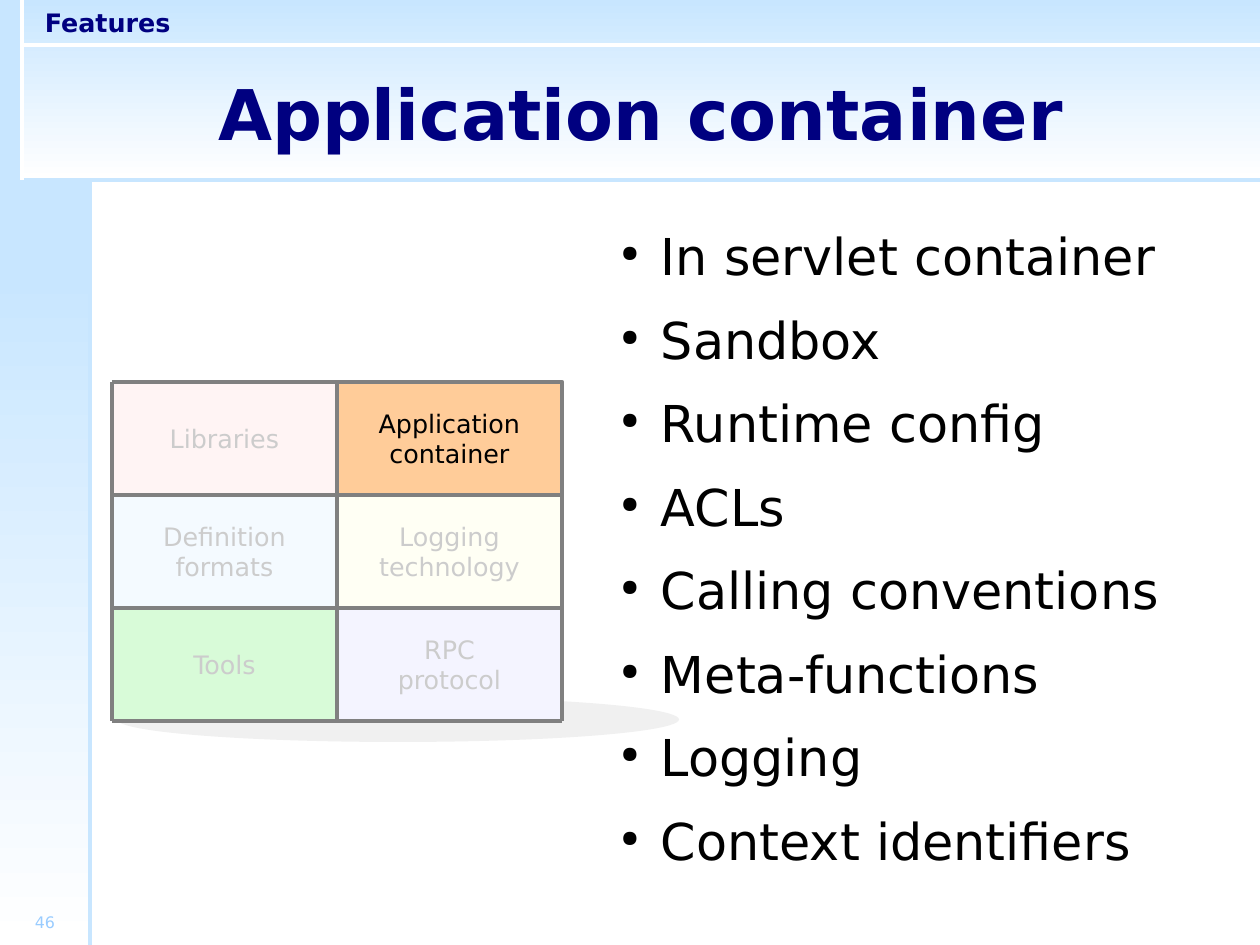
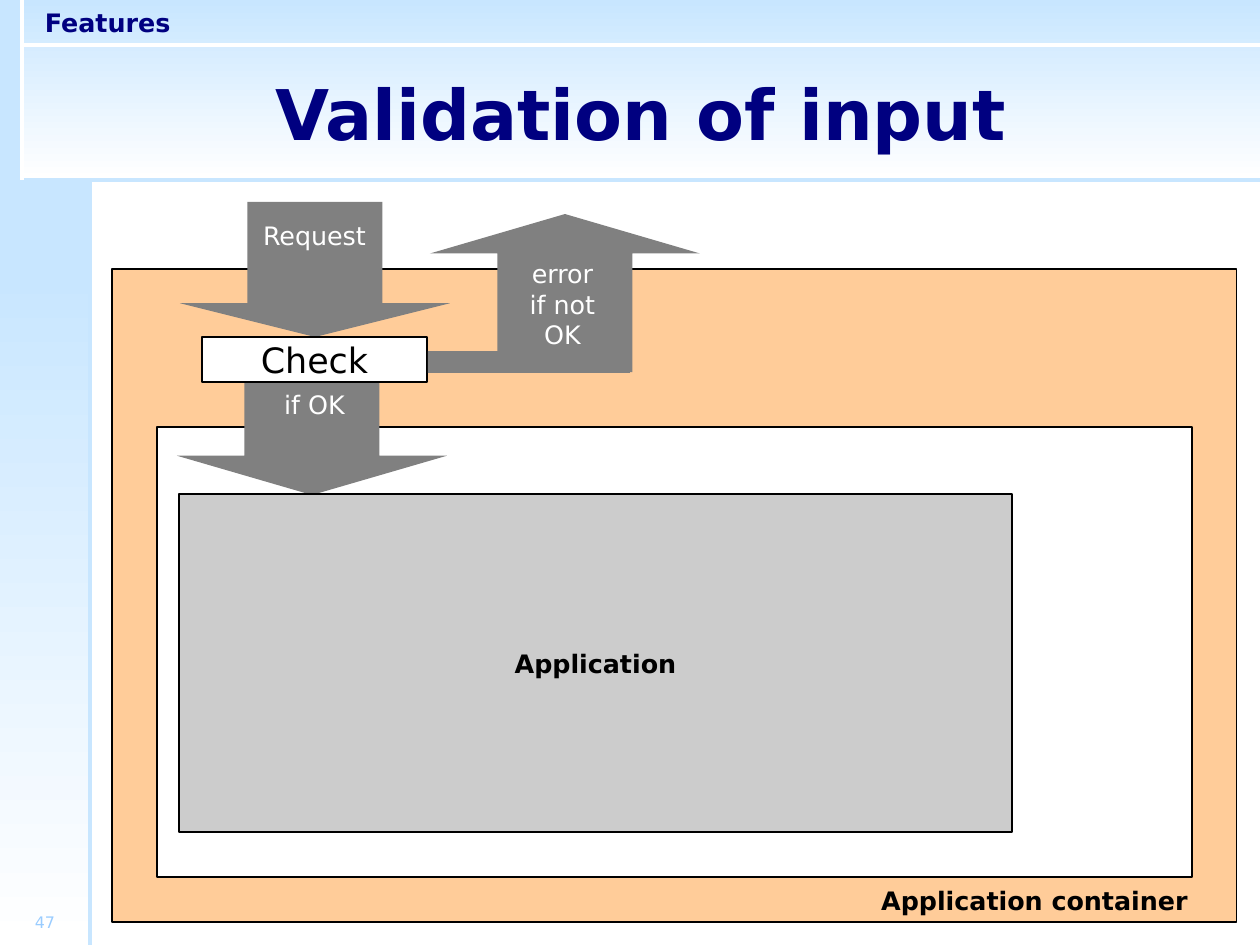
from lxml.etree import SubElement
from pptx import Presentation
from pptx.dml.color import RGBColor
from pptx.enum.shapes import MSO_CONNECTOR as Connector, MSO_SHAPE as Shape
from pptx.enum.text import MSO_ANCHOR as Anchor, PP_ALIGN as Align
from pptx.oxml.ns import qn
from pptx.util import Pt

PX = 8000
WIDTH, HEIGHT = 1260, 945
FONT = "DejaVu Sans"
BLACK, WHITE, NAVY, SKY = "000000", "FFFFFF", "000080", "C8E6FF"
ORANGE, GRAY, PALE_BLUE = "FFCC99", "808080", "99CCFF"

CELL_WIDTH, CELL_HEIGHT = 225, 113
GRID_LEFT, GRID_TOP = 112, 382
FEATURES = [
    [("Libraries", "FFC8C8"), ("Application\vcontainer", ORANGE)],
    [("Definition\vformats", SKY), ("Logging\vtechnology", "FFFFCC")],
    [("Tools", "3DEB3D"), ("RPC\vprotocol", "CCCCFF")],
]
CONTAINER_POINTS = [
    "In servlet container", "Sandbox", "Runtime config", "ACLs",
    "Calling conventions", "Meta-functions", "Logging", "Context identifiers",
]


def color(hex_string):
    return RGBColor.from_string(hex_string)


def emu(*lengths):
    return [length * PX for length in lengths]


def write(box, text, size=16, ink=BLACK, bold=False, align=Align.CENTER,
          anchor=Anchor.MIDDLE, inset=None):
    """Fill a shape with text: \\n starts a paragraph, \\v breaks a line."""
    frame = box.text_frame
    frame.word_wrap = True
    frame.vertical_anchor = anchor
    if inset is not None:
        frame.margin_left = frame.margin_right = inset * PX
        frame.margin_top = frame.margin_bottom = inset * PX
    frame.text = text
    for para in frame.paragraphs:
        para.alignment = align
        font = para.font
        font.name, font.size, font.bold = FONT, Pt(size), bold
        font.color.rgb = color(ink)
    return frame


def add_label(slide, area, text, **style):
    return write(slide.shapes.add_textbox(*emu(*area)), text, **style)


def add_box(slide, area, fill=None, line=None, line_width=0, kind=Shape.RECTANGLE):
    box = slide.shapes.add_shape(kind, *emu(*area))
    box.shadow.inherit = False
    if fill:
        box.fill.solid()
        box.fill.fore_color.rgb = color(fill)
    if line:
        box.line.color.rgb = color(line)
        box.line.width = Pt(line_width)
    else:
        box.line.fill.background()
    return box


def add_fading_band(slide, area):
    fill = add_box(slide, area).fill
    fill.gradient()
    fill.gradient_angle = 270
    for stop, position, shade in zip(fill.gradient_stops, (0, 1), (SKY, WHITE)):
        stop.position = position
        stop.color.rgb = color(shade)


def add_veil(slide, area):
    """Dim what lies below with white at 80 % opacity."""
    veil = add_box(slide, area, WHITE)
    tint = veil.fill._xPr.find(qn("a:solidFill"))[0]
    SubElement(tint, qn("a:alpha"), val="80000")


def add_line(slide, ends, ink):
    line = slide.shapes.add_connector(Connector.STRAIGHT, *emu(*ends))
    line.line.color.rgb = color(ink)
    line.line.width = Pt(0)
    SubElement(line._element.spPr, qn("a:effectLst"))


def add_arrow(slide, area, kind=Shape.DOWN_ARROW):
    arrow = add_box(slide, area, GRAY, kind=kind)
    arrow.adjustments[0], arrow.adjustments[1] = 0.5, 0.25


def add_bullets(slide, area, items):
    frame = add_label(slide, area, "\n".join(items), size=32, align=Align.LEFT,
                      anchor=Anchor.TOP, inset=0)
    for para in frame.paragraphs:
        para.space_after = Pt(14.2)
        props = para._p.get_or_add_pPr()
        props.set("marL", str(54 * PX))
        props.set("indent", str(-40 * PX))
        bullet = [SubElement(props, qn("a:buClr")),
                  SubElement(props, qn("a:buSzPct"), val="45000"),
                  SubElement(props, qn("a:buChar"), char="●")]
        SubElement(bullet[0], qn("a:srgbClr"), val=BLACK)
        for part in bullet:
            props.find(qn("a:defRPr")).addprevious(part)


def add_slide(deck, title, number):
    """Add a slide with the bands, rules, titles and number all slides share."""
    slide = deck.slides.add_slide(deck.slide_layouts[6])
    add_box(slide, (0, 0, 90, 293), SKY)
    add_fading_band(slide, (0, 270, 90, 675))
    add_fading_band(slide, (22, 0, 1238, 180))
    add_line(slide, (22, 180, WIDTH, 180), SKY)
    add_line(slide, (90, 180, 90, HEIGHT), SKY)
    add_line(slide, (22, 0, 22, 180), WHITE)
    add_line(slide, (22, 45, WIDTH, 45), WHITE)
    add_label(slide, (0, 900, 90, 45), str(number), size=10, ink=PALE_BLUE, inset=0)
    add_label(slide, (22, 45, 1238, 135), title, size=44, ink=NAVY, bold=True, inset=0)
    add_label(slide, (45, 0, 225, 45), "Features", ink=NAVY, bold=True,
              align=Align.LEFT, inset=0)
    return slide


def add_feature_grid(slide):
    """Draw the feature table with all but the top right cell dimmed."""
    columns = [GRID_LEFT + CELL_WIDTH * i for i in range(3)]
    rows = [GRID_TOP + CELL_HEIGHT * i for i in range(4)]
    left, middle, right = columns
    top, bottom = rows[0], rows[-1]

    add_box(slide, (117, 697, 562, 45), "F0F0F0", kind=Shape.OVAL)
    for y, features in zip(rows, FEATURES):
        for x, (name, fill) in zip(columns, features):
            write(add_box(slide, (x, y, CELL_WIDTH, CELL_HEIGHT), fill), name)
    add_veil(slide, (left, top, CELL_WIDTH, bottom - top))
    add_veil(slide, (middle, rows[1], CELL_WIDTH, bottom - rows[1]))
    for x in columns:
        add_line(slide, (x, top, x, bottom), GRAY)
    for y in rows:
        add_line(slide, (left, y, right, y), GRAY)
    name, fill = FEATURES[0][1]
    write(add_box(slide, (middle, top, CELL_WIDTH, CELL_HEIGHT), fill, GRAY, 2.89), name)


def build_container_slide(deck):
    slide = add_slide(deck, "Application container", 46)
    add_feature_grid(slide)
    add_bullets(slide, (607, 225, 630, 711), CONTAINER_POINTS)


def build_validation_slide(deck):
    slide = add_slide(deck, "Validation of input", 47)
    add_box(slide, (112, 269, 1125, 653), ORANGE, BLACK)
    add_box(slide, (157, 427, 1035, 450), WHITE, BLACK)
    add_arrow(slide, (180, 202, 270, 135))
    add_label(slide, (247, 202, 135, 67), "Request", ink=WHITE)
    add_arrow(slide, (177, 338, 270, 157))
    check = add_box(slide, (202, 337, 225, 45), WHITE, BLACK)
    write(check, "Check", size=22)
    add_label(slide, (247, 382, 135, 45), "if OK", ink=WHITE)
    add_arrow(slide, (430, 214, 270, 158), Shape.UP_ARROW)
    add_box(slide, (428, 351, 202, 22), GRAY)
    add_label(slide, (495, 248, 135, 112), "error\nif not\vOK", ink=WHITE)
    application = add_box(slide, (179, 494, 833, 338), "CCCCCC", BLACK)
    write(application, "Application", bold=True)
    add_label(slide, (832, 878, 405, 45), "Application container", bold=True)


def main():
    deck = Presentation()
    deck.slide_width, deck.slide_height = emu(WIDTH, HEIGHT)
    build_container_slide(deck)
    build_validation_slide(deck)
    deck.save("out.pptx")


if __name__ == "__main__":
    main()
